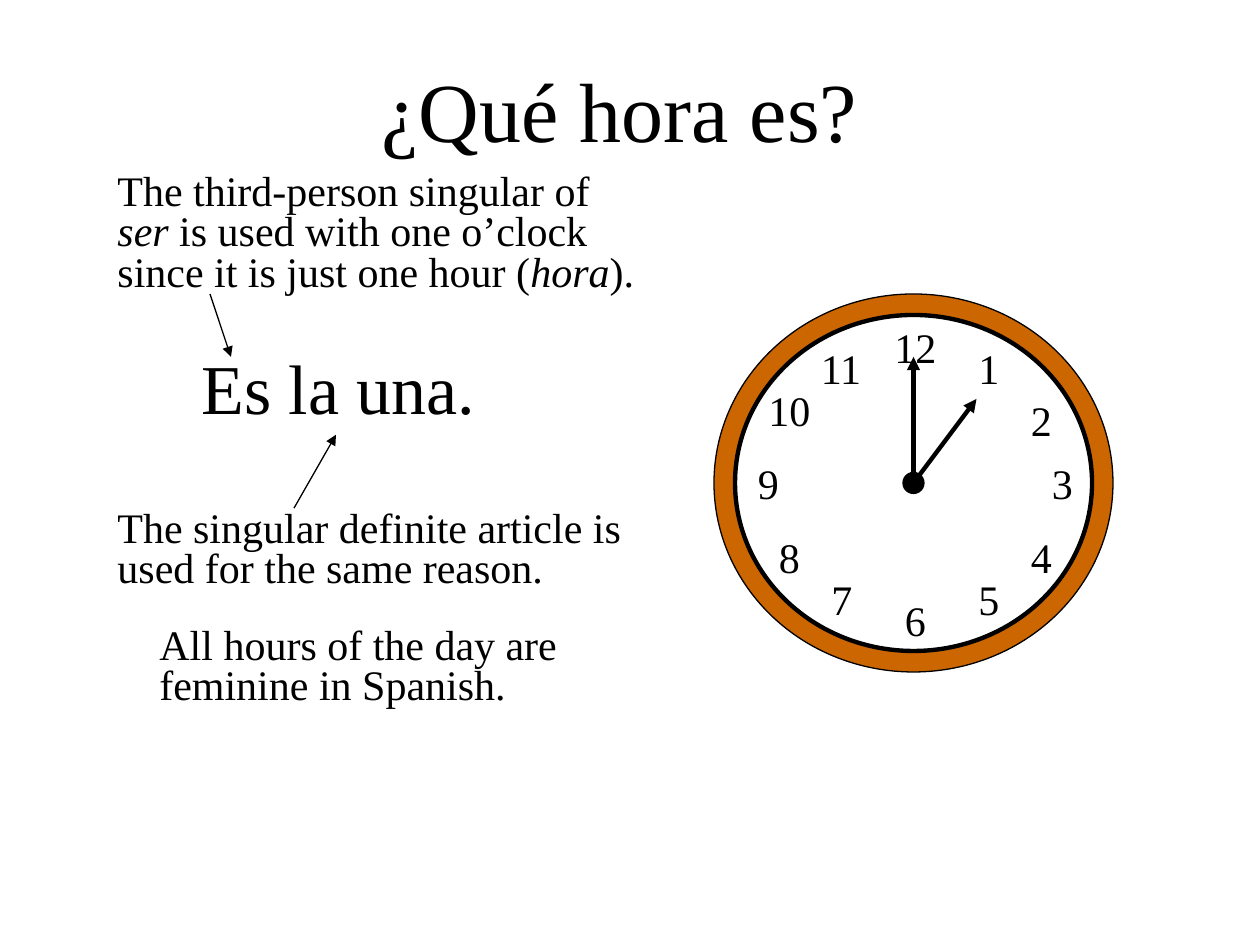
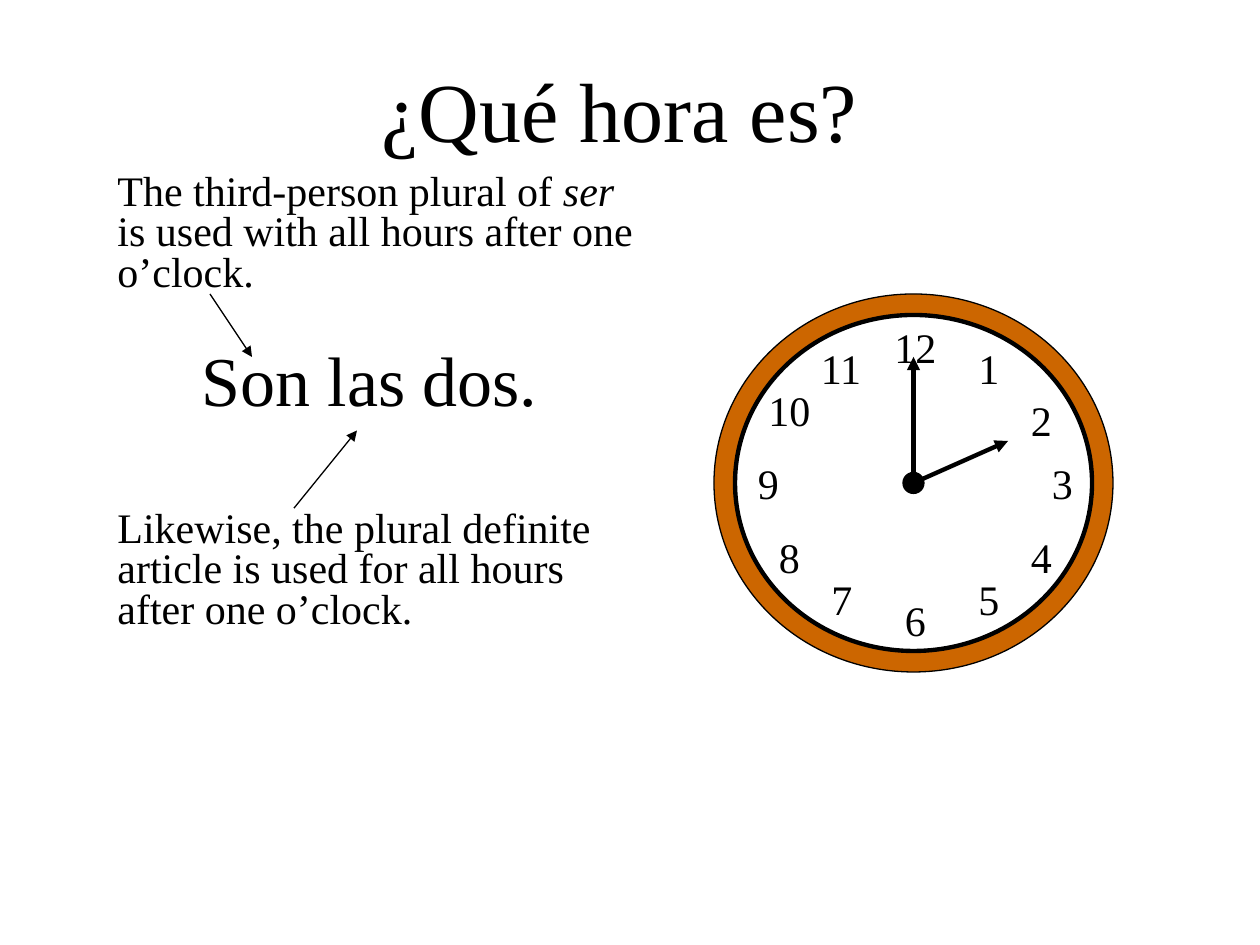
from dataclasses import dataclass
from typing import NamedTuple

from lxml.etree import SubElement
from pptx import Presentation
from pptx.dml.color import RGBColor
from pptx.enum.shapes import MSO_AUTO_SHAPE_TYPE as ShapeType, MSO_CONNECTOR as Connector
from pptx.enum.text import PP_ALIGN as Align
from pptx.oxml.ns import qn
from pptx.util import Inches, Pt

COLUMNS, ROWS = 120, 90
SLIDE_WIDTH, SLIDE_HEIGHT = Inches(10), Inches(7.5)
FONT = "Times New Roman"
BLACK, WHITE, RIM = "000000", "FFFFFF", "CC6600"
TITLE = "¿Qué hora es?"
THIN, THICK = 0.75, 2.5


class Point(NamedTuple):
    column: float
    row: float


class Box(NamedTuple):
    column: float
    row: float
    width: float
    height: float


class Note(NamedTuple):
    text: str
    box: Box
    size: float = 24
    line_spacing: float = 0.8


class Arrow(NamedTuple):
    start: Point
    end: Point


class Disc(NamedTuple):
    box: Box
    fill: str
    line_width: float


@dataclass(frozen=True)
class Lesson:
    hour_hand_tip: Point
    notes: tuple[Note, ...]
    arrows: tuple[Arrow, ...]


DISCS = (
    Disc(Box(68, 28, 38, 36), RIM, THIN),
    Disc(Box(70, 30, 34, 32), WHITE, THICK),
    Disc(Box(86, 45, 2, 2), BLACK, THIN),
)
CLOCK_CENTRE = Point(87, 46)
MINUTE_HAND = Arrow(Point(87, 45), Point(87, 34))
NUMERALS = {
    1: Point(92, 32), 2: Point(97, 37), 3: Point(99, 43), 4: Point(97, 50),
    5: Point(92, 54), 6: Point(85, 56), 7: Point(78, 54), 8: Point(73, 50),
    9: Point(71, 43), 10: Point(72, 36), 11: Point(77, 32), 12: Point(84, 30),
}
VERB_ARROW_START, ARTICLE_ARROW_START = Point(20, 28), Point(28, 48.4)
VERB_BOX = Box(10, 16, 52, 12.7)
ARTICLE_BOX = Box(10, 48.1, 52, 12.7)

LESSONS = (
    Lesson(
        Point(93, 38),
        (
            Note("Es la una.", Box(18, 32.2, 40, 9.2), 40, 1),
            Note("The third-person singular of *ser* is used with one o’clock "
                 "since it is just one hour (*hora*).", VERB_BOX),
            Note("The singular definite article is used for the same reason.", ARTICLE_BOX),
            Note("All hours of the day are feminine in Spanish.", Box(14, 59.2, 44, 8.9)),
        ),
        (
            Arrow(VERB_ARROW_START, Point(22, 34)),
            Arrow(ARTICLE_ARROW_START, Point(32, 41.4)),
        ),
    ),
    Lesson(
        Point(96, 42),
        (
            Note("Son las dos.", Box(18, 33, 46, 7.7), 40),
            Note("The third-person plural of *ser* is used with all hours "
                 "after one o’clock.", VERB_BOX),
            Note("Likewise, the plural definite article is used for all hours "
                 "after one o’clock.", ARTICLE_BOX),
        ),
        (
            Arrow(VERB_ARROW_START, Point(24, 34)),
            Arrow(ARTICLE_ARROW_START, Point(34, 41)),
        ),
    ),
)


def color(value: str) -> RGBColor:
    return RGBColor.from_string(value)


def x(columns: float) -> int:
    return round(SLIDE_WIDTH * columns / COLUMNS)


def y(rows: float) -> int:
    return round(SLIDE_HEIGHT * rows / ROWS)


def place(box: Box) -> tuple[int, int, int, int]:
    return x(box.column), y(box.row), x(box.width), y(box.height)


def add_text(shapes, text: str, box: Box, *, size: float = 24,
             align: Align = Align.LEFT, line_spacing: float = 1) -> None:
    frame = shapes.add_textbox(*place(box)).text_frame
    frame.word_wrap = True
    paragraph = frame.paragraphs[0]
    paragraph.alignment = align
    paragraph.line_spacing = float(line_spacing)
    for index, part in enumerate(text.split("*")):
        run = paragraph.add_run()
        run.text = part
        run.font.name = FONT
        run.font.size = Pt(size)
        run.font.italic = index % 2 == 1
        run.font.color.rgb = color(BLACK)


def add_disc(shapes, disc: Disc) -> None:
    shape = shapes.add_shape(ShapeType.OVAL, *place(disc.box))
    shape.shadow.inherit = False
    shape.fill.solid()
    shape.fill.fore_color.rgb = color(disc.fill)
    shape.line.color.rgb = color(BLACK)
    shape.line.width = Pt(disc.line_width)


def add_arrow(shapes, arrow: Arrow, width: float) -> None:
    connector = shapes.add_connector(
        Connector.STRAIGHT, x(arrow.start.column), y(arrow.start.row),
        x(arrow.end.column), y(arrow.end.row))
    connector.line.color.rgb = color(BLACK)
    connector.line.width = Pt(width)
    properties = connector._element.spPr
    SubElement(properties.find(qn("a:ln")), qn("a:tailEnd"), type="triangle")
    SubElement(properties, qn("a:effectLst"))


def add_clock(slide, hour_hand_tip: Point) -> None:
    shapes = slide.shapes.add_group_shape().shapes
    for disc in DISCS:
        add_disc(shapes, disc)
    for hour, corner in NUMERALS.items():
        add_text(shapes, str(hour), Box(*corner, 5 if hour < 10 else 7, 6))
    for hand in (MINUTE_HAND, Arrow(CLOCK_CENTRE, hour_hand_tip)):
        add_arrow(shapes, hand, THICK)


def add_lesson(presentation, lesson: Lesson) -> None:
    slide = presentation.slides.add_slide(presentation.slide_layouts[6])
    add_clock(slide, lesson.hour_hand_tip)
    add_text(slide.shapes, TITLE, Box(19, 5, 80, 10.8), size=48, align=Align.CENTER)
    for note in lesson.notes:
        add_text(slide.shapes, note.text, note.box, size=note.size,
                 line_spacing=note.line_spacing)
    for arrow in lesson.arrows:
        add_arrow(slide.shapes, arrow, THIN)


def main() -> None:
    presentation = Presentation()
    presentation.slide_width, presentation.slide_height = SLIDE_WIDTH, SLIDE_HEIGHT
    for lesson in LESSONS:
        add_lesson(presentation, lesson)
    presentation.save("out.pptx")


if __name__ == "__main__":
    main()
